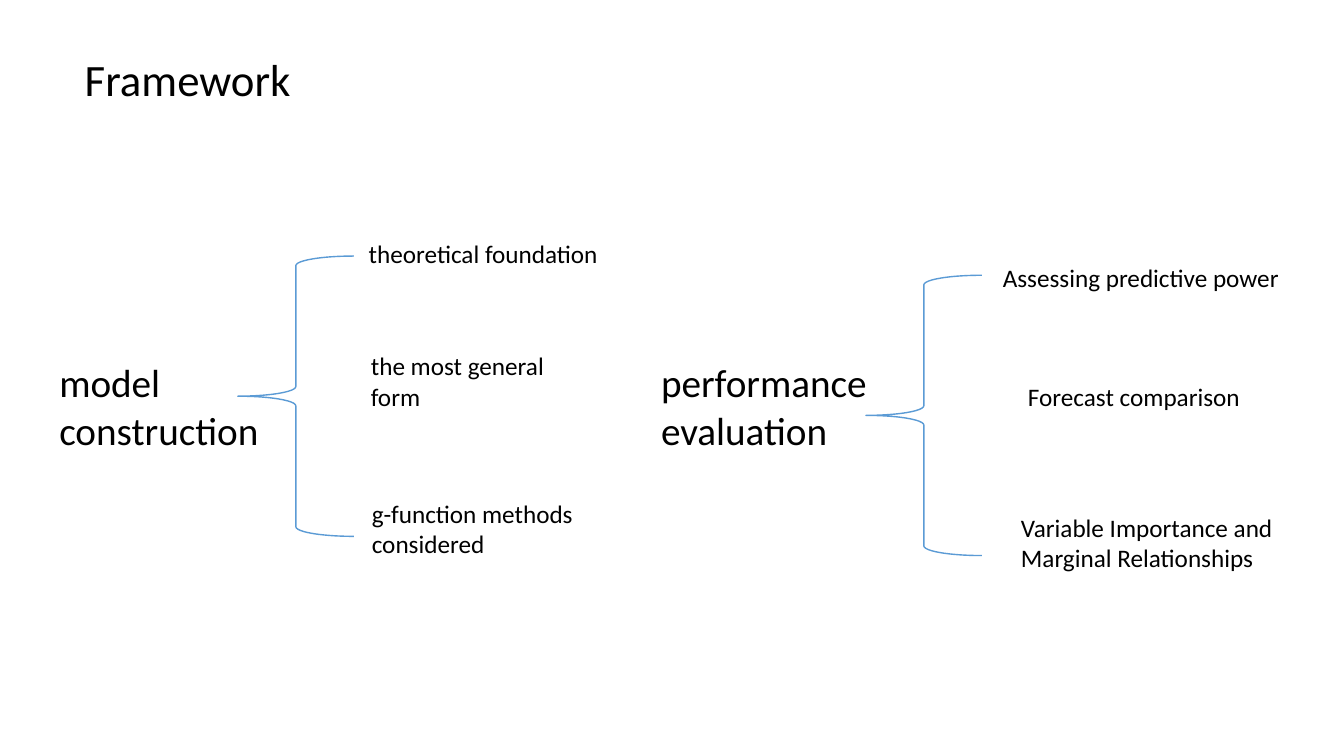
import pptx
import pptx.util
from pptx.dml.color import RGBColor
from pptx.enum.shapes import MSO_SHAPE
from pptx.enum.text import MSO_ANCHOR, MSO_AUTO_SIZE, PP_ALIGN

Pt = pptx.util.Pt
BLACK = RGBColor(0x00, 0x00, 0x00)
BLUE = RGBColor(0x5B, 0x9B, 0xD5)

TITLE_SIZE, TOPIC_SIZE, ITEM_SIZE = 32, 28, 18
BRACE_WIDTH, BRACE_HEIGHT = 82.8, 200.2

# Each branch: topic and its box, brace position, items and their boxes.
BRANCHES = [
    ("model construction", (35.3, 252.7, 162.7, 75.6), (169.9, 182.9), [
        ("theoretical foundation", (256.3, 167, 188.6, 39.6)),
        ("the most general form", (257.8, 247, 149.8, 51.1)),
        ("g-function methods considered", (258.5, 352.1, 203, 51.1)),
    ]),
    ("performance evaluation", (465.1, 252.7, 163.4, 75.6), (618.5, 196.6), [
        ("Assessing predictive power", (709.2, 183.6, 221.8, 28.8)),
        ("Forecast comparison", (727.2, 268.6, 172.8, 28.8)),
        ("Variable Importance and Marginal Relationships",
         (722.2, 362.2, 208.8, 51.1)),
    ]),
]


class Deck:
    font = "Calibri"

    def __init__(self, width, height):
        self.prs = pptx.Presentation()
        self.prs.slide_width, self.prs.slide_height = Pt(width), Pt(height)
        self.s = self.prs.slides.add_slide(self.prs.slide_layouts[5])

    def fill_text(self, sp, text, size):
        tf = sp.text_frame
        tf.word_wrap = True
        tf.auto_size = MSO_AUTO_SIZE.NONE
        tf.vertical_anchor = MSO_ANCHOR.TOP
        p = tf.paragraphs[0]
        p.alignment = PP_ALIGN.LEFT
        r = p.add_run()
        r.text = text
        r.font.name = self.font
        r.font.size = Pt(size)
        r.font.color.rgb = BLACK

    def title(self, text, box):
        sp = self.s.shapes.title
        sp.left, sp.top, sp.width, sp.height = map(Pt, box)
        self.fill_text(sp, text, TITLE_SIZE)

    def text(self, text, box, size):
        self.fill_text(self.s.shapes.add_textbox(*map(Pt, box)), text, size)

    def brace(self, left, top):
        sp = self.s.shapes.add_shape(
            MSO_SHAPE.LEFT_BRACE, Pt(left), Pt(top),
            Pt(BRACE_WIDTH), Pt(BRACE_HEIGHT))
        sp.shadow.inherit = False
        sp.fill.background()
        sp.line.color.rgb = BLUE
        sp.line.width = Pt(1)


def main():
    deck = Deck(960, 540)
    deck.title("Framework", (53.3, 33.1, 217.4, 59.8))
    for topic, topic_box, brace_at, items in BRANCHES:
        deck.text(topic, topic_box, TOPIC_SIZE)
        deck.brace(*brace_at)
        for item, item_box in items:
            deck.text(item, item_box, ITEM_SIZE)
    deck.prs.save("out.pptx")


if __name__ == "__main__":
    main()
